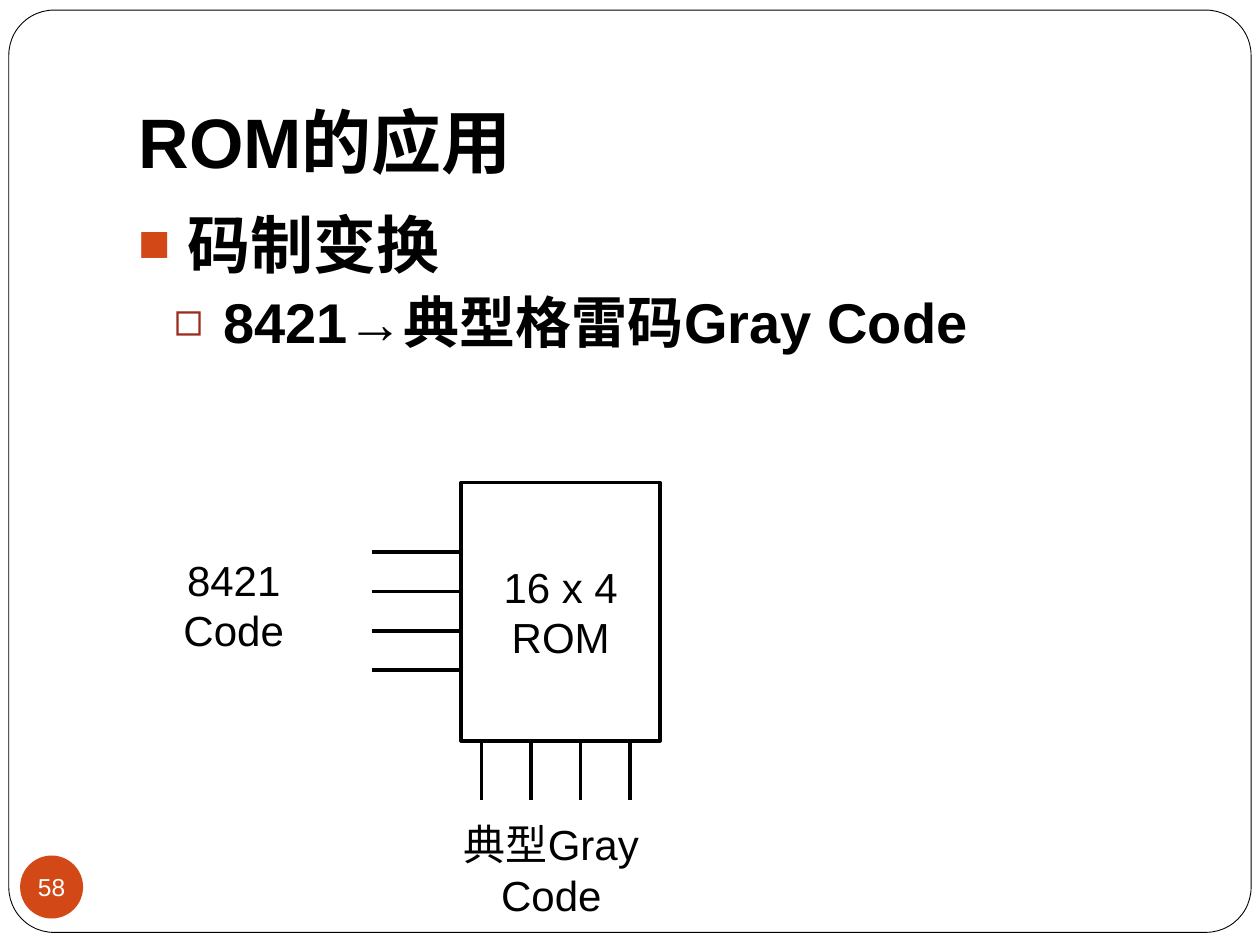
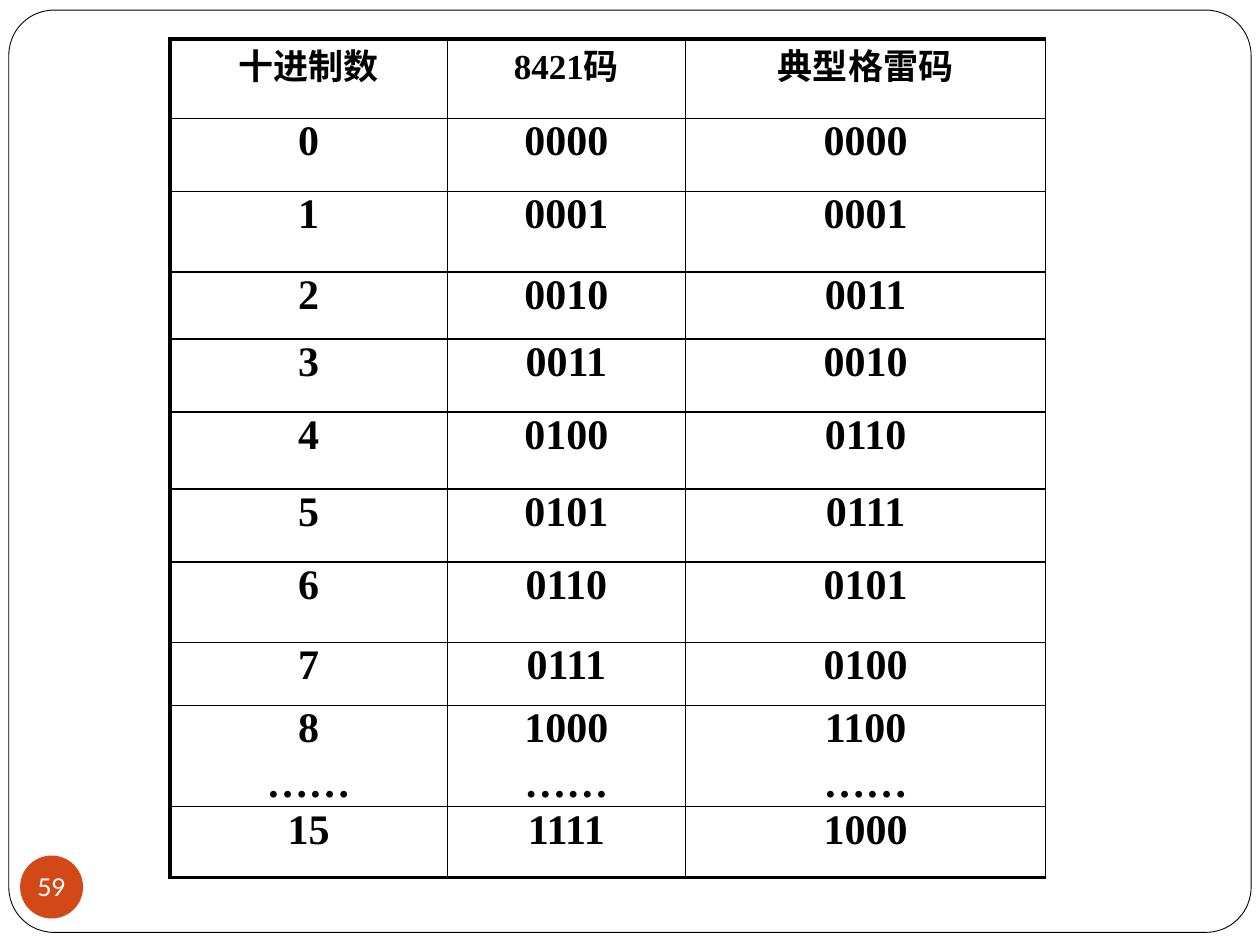
from pptx import Presentation
from pptx.dml.color import RGBColor
from pptx.enum.shapes import MSO_CONNECTOR as CONN, MSO_SHAPE as SHAPE
from pptx.enum.text import MSO_ANCHOR as ANCHOR, MSO_AUTO_SIZE as AUTO, PP_ALIGN as ALIGN
from pptx.oxml.xmlchemy import OxmlElement
from pptx.util import Inches, Pt

BLACK = RGBColor(0x00, 0x00, 0x00)
WHITE = RGBColor(0xFF, 0xFF, 0xFF)
ORANGE = RGBColor(0xD3, 0x48, 0x17)
BROWN = RGBColor(0x9B, 0x2D, 0x1F)

# Content
TITLE = "ROM的应用"
BULLETS = [  # text, level, size, space before, indent, bullet, bullet colour
    ("码制变换", 0, 36, 5.8, 0.39, "■", ORANGE),
    ("8421→典型格雷码Gray Code", 1, 32, 3.7, 0.67, "◻", BROWN),
]
HANGING = 0.39
ROM_LINES = "16 x 4\nROM"
LABELS = [("8421 Code", (1.04, 4.35, 1.63, 0.5)),
          ("典型Gray Code", (3.25, 6.45, 2.25, 0.5))]
CODES = [
    ("十进制数", "8421码", "典型格雷码"),
    ("0", "0000", "0000"),
    ("1", "0001", "0001"),
    ("2", "0010", "0011"),
    ("3", "0011", "0010"),
    ("4", "0100", "0110"),
    ("5", "0101", "0111"),
    ("6", "0110", "0101"),
    ("7", "0111", "0100"),
    ("8\n……", "1000\n……", "1100\n……"),
    ("15", "1111", "1000"),
]

# Geometry
FRAME = (0.07, 0.08, 9.86, 7.32)
BADGE = (0.16, 6.79, 0.5, 0.5)
TITLE_BOX = (1, 0.3, 8.5, 1.25)
BODY_BOX = (1, 1.58, 8.5, 5)
ROM_BOX = (3.66, 3.83, 1.58, 2.05)
PINS, PIN_IN, PIN_OUT = 4, 0.71, 0.47      # pin count and lengths
IN_TOP, IN_STEP = 4.38, 0.313
OUT_LEFT, OUT_STEP = 3.82, 0.393
TABLE_POS = (1.35, 0.31)
COL_WIDTHS = (2.2, 1.89, 2.86)
ROW_HEIGHTS = (0.63, 0.58, 0.64, 0.53, 0.58, 0.61, 0.58, 0.64, 0.5, 0.63, 0.56)


def inches(values):
    return [Inches(v) for v in values]


def set_all(obj, **values):
    for name, value in values.items():
        setattr(obj, name, value)


def place(sp, box):
    set_all(sp, **dict(zip(("left", "top", "width", "height"), inches(box))))


def format_text(tf, size, font="Arial", color=BLACK, bold=False, align=ALIGN.CENTER):
    for p in tf.paragraphs:
        p.alignment = align
        for r in p.runs:
            set_all(r.font, name=font, size=Pt(size), bold=bold)
            r.font.color.rgb = color


def add_node(parent, parent_tag, **attrs):
    node = OxmlElement(parent_tag)
    for key, value in attrs.items():
        node.set(key, str(value))
    parent.append(node)
    return node


def add_box(shapes, kind, box, fill=None, line=None):
    sp = shapes.add_shape(kind, *inches(box))
    sp.shadow.inherit = False
    if fill is None:
        sp.fill.background()
    else:
        sp.fill.solid()
        sp.fill.fore_color.rgb = fill
    if line is None:
        sp.line.fill.background()
    else:
        sp.line.color.rgb, sp.line.width = BLACK, Pt(line)
    return sp


def add_pin(shapes, x1, y1, x2, y2):
    pin = shapes.add_connector(CONN.STRAIGHT, *inches((x1, y1, x2, y2)))
    pin.line.color.rgb, pin.line.width = BLACK, Pt(2)
    add_node(pin._element.spPr, "a:effectLst")


def add_badge(slide, number, font):
    sp = add_box(slide.shapes, SHAPE.OVAL, BADGE, fill=ORANGE)
    tf = sp.text_frame
    set_all(tf, text=number, word_wrap=False, vertical_anchor=ANCHOR.MIDDLE,
            margin_left=0, margin_right=0, margin_top=0, margin_bottom=0)
    format_text(tf, 14, font, WHITE)


def add_master_frame(prs, slide):
    """Build the rounded frame once and move it behind everything on the master."""
    frame = add_box(slide.shapes, SHAPE.ROUNDED_RECTANGLE, FRAME, WHITE, 0.5)
    frame.adjustments[0] = 0.049
    frame._element.nvSpPr.cNvPr.id = 99
    prs.slide_master.shapes._spTree.insert(2, frame._element)


def add_bullet(p, indent, char, color):
    pPr = p._p.get_or_add_pPr()
    pPr.set("marL", str(Inches(indent)))
    pPr.set("indent", str(-Inches(HANGING)))
    add_node(add_node(pPr, "a:buClr"), "a:srgbClr", val=color)
    add_node(pPr, "a:buSzPct", val=85000)
    add_node(pPr, "a:buFont", typeface="Arial")
    add_node(pPr, "a:buChar", char=char)


def add_border(tcPr, side, width):
    ln = add_node(tcPr, "a:ln" + side, w=Pt(width))
    add_node(add_node(ln, "a:solidFill"), "a:srgbClr", val=BLACK)


def build_application(slide):
    # Title and bullets
    title, body = slide.shapes.title, slide.placeholders[1]
    place(title, TITLE_BOX)
    set_all(title.text_frame, text=TITLE, vertical_anchor=ANCHOR.BOTTOM,
            auto_size=AUTO.NONE, margin_bottom=Inches(0.1))
    format_text(title.text_frame, 40, bold=True, align=ALIGN.LEFT)

    place(body, BODY_BOX)
    tf = body.text_frame
    set_all(tf, text="\n".join(b[0] for b in BULLETS), auto_size=AUTO.NONE)
    format_text(tf, 36, bold=True, align=ALIGN.LEFT)
    for p, (_, level, size, before, indent, char, color) in zip(tf.paragraphs, BULLETS):
        set_all(p, level=level, space_before=Pt(before))
        p.runs[0].font.size = Pt(size)
        add_bullet(p, indent, char, color)

    # ROM block with its pins
    group = slide.shapes.add_group_shape().shapes
    rom = add_box(group, SHAPE.RECTANGLE, ROM_BOX, line=2)
    set_all(rom.text_frame, text=ROM_LINES, word_wrap=False, vertical_anchor=ANCHOR.MIDDLE)
    format_text(rom.text_frame, 24)
    left, bottom = ROM_BOX[0], ROM_BOX[1] + ROM_BOX[3]
    for i in range(PINS):
        y, x = IN_TOP + i * IN_STEP, OUT_LEFT + i * OUT_STEP
        add_pin(group, left - PIN_IN, y, left, y)
        add_pin(group, x, bottom, x, bottom + PIN_OUT)

    # Pin labels
    for text, box in LABELS:
        tf = slide.shapes.add_textbox(*inches(box)).text_frame
        set_all(tf, text=text, word_wrap=True)
        format_text(tf, 24)


def build_code_table(slide):
    size = (sum(COL_WIDTHS), sum(ROW_HEIGHTS))
    table = slide.shapes.add_table(len(CODES), len(COL_WIDTHS),
                                   *inches(TABLE_POS + size)).table
    set_all(table, first_row=False, horz_banding=False)
    for col, width in zip(table.columns, COL_WIDTHS):
        col.width = Inches(width)
    last = len(CODES) - 1
    for i, (row, height) in enumerate(zip(CODES, ROW_HEIGHTS)):
        table.rows[i].height = Inches(height)
        for j, text in enumerate(row):
            cell = table.cell(i, j)
            set_all(cell, text=text, margin_left=Inches(0.1), margin_right=Inches(0.1),
                    margin_top=0, margin_bottom=0)
            format_text(cell.text_frame, 24 if i else 20, "Times New Roman", bold=True)
            for p in cell.text_frame.paragraphs:
                before = add_node(p._p.get_or_add_pPr(), "a:spcBef")
                add_node(before, "a:spcPct", val=20000)
            # Heavy outer edges except on the right
            heavy = {"L": j == 0, "R": False, "T": i == 0, "B": i == last}
            for side, is_heavy in heavy.items():
                add_border(cell._tc.get_or_add_tcPr(), side, 2.25 if is_heavy else 1)
            cell.fill.background()


def main():
    prs = Presentation()
    prs.slide_width, prs.slide_height = Inches(10), Inches(7.5)
    application = prs.slides.add_slide(prs.slide_layouts[1])
    codes = prs.slides.add_slide(prs.slide_layouts[6])
    add_master_frame(prs, application)
    build_application(application)
    add_badge(application, "58", "Arial")
    build_code_table(codes)
    add_badge(codes, "59", "Lato")
    prs.save("out.pptx")


if __name__ == "__main__":
    main()
